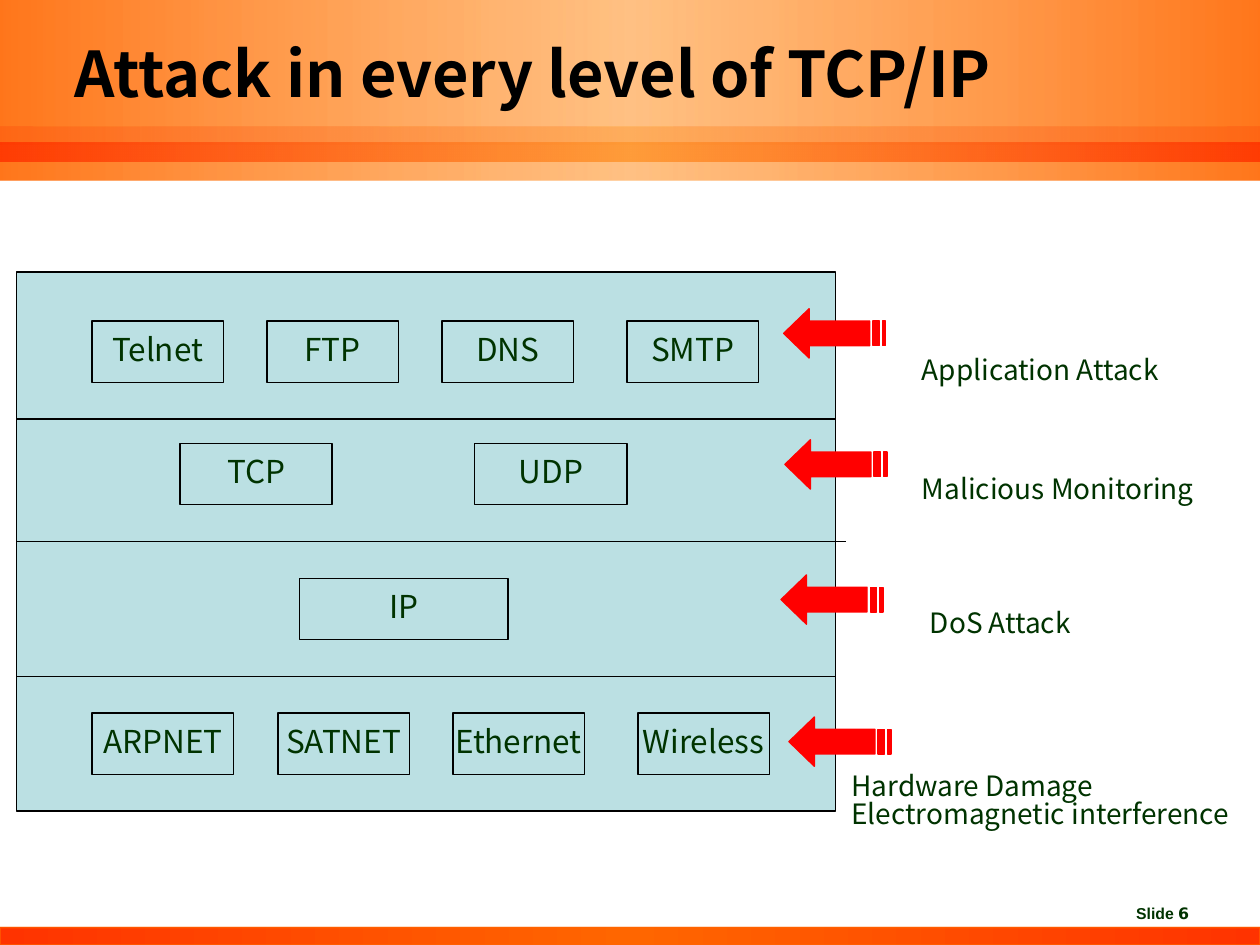
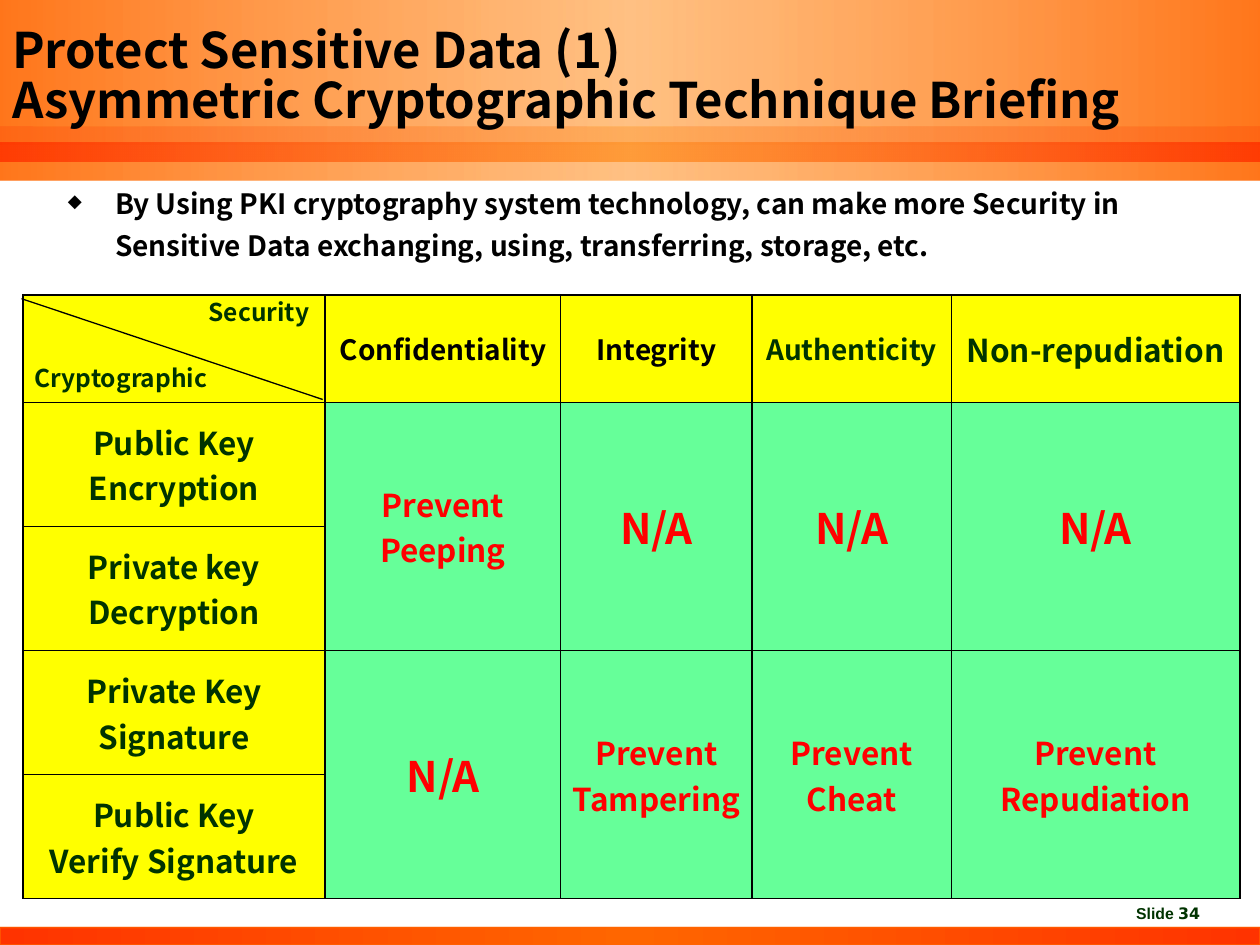
import dataclasses

import lxml.etree
import pptx
import pptx.dml.color
import pptx.enum.shapes
import pptx.enum.text
import pptx.oxml
import pptx.oxml.ns
import pptx.util

Pt = pptx.util.Pt
RGB = pptx.dml.color.RGBColor.from_string
qn = pptx.oxml.ns.qn
ALIGN = pptx.enum.text.PP_ALIGN
ANCHOR = pptx.enum.text.MSO_ANCHOR
RECTANGLE = pptx.enum.shapes.MSO_SHAPE.RECTANGLE
STRAIGHT = pptx.enum.shapes.MSO_CONNECTOR.STRAIGHT
DRAWING = 'xmlns:a="http://schemas.openxmlformats.org/drawingml/2006/main"'


@dataclasses.dataclass(frozen=True)
class Theme:
    font: str = "Noto Sans CJK SC"
    footer_font: str = "Arial"
    number_font: str = "DejaVu Sans"
    black: str = "000000"
    ink: str = "003300"
    red: str = "FF0000"
    layer: str = "BBE0E3"
    header: str = "FFFF00"
    cell: str = "66FF99"
    deep_orange: str = "FF3300"
    orange: str = "FF6600"
    light_orange: str = "FF9933"
    title: int = 36
    long_title: int = 28
    verdict: int = 24
    large: int = 18
    normal: int = 16
    corner: int = 14
    footer: int = 9
    hairline: float = 0.75
    tight: float = 0.84  # line spacing outside the table


THEME = Theme()
WIDTH, HEIGHT = 720, 540


# Text and shape helpers

def add_run(paragraph, text, size, color=THEME.ink, bold=False, font=THEME.font):
    run = paragraph.add_run()
    run.text = text
    run.font.size = Pt(size)
    run.font.bold = bold
    run.font.name = font
    run.font.color.rgb = RGB(color)
    properties = run.font._element
    east_asian = lxml.etree.SubElement(properties, qn("a:ea"))
    east_asian.set("typeface", font)


def write_lines(frame, lines, size, color=THEME.ink, bold=False, align=ALIGN.LEFT,
                spacing=THEME.tight):
    """Write one paragraph for each line."""
    for index, line in enumerate(lines):
        paragraph = frame.add_paragraph() if index else frame.paragraphs[0]
        paragraph.alignment = align
        paragraph.line_spacing = spacing
        add_run(paragraph, line, size, color, bold)


def add_text_box(slide, box, anchor=ANCHOR.TOP):
    frame = slide.shapes.add_textbox(*map(Pt, box)).text_frame
    frame.word_wrap = True
    frame.vertical_anchor = anchor
    return frame


def paint(shape, fill, line):
    shape.shadow.inherit = False
    shape.fill.solid()
    shape.fill.fore_color.rgb = RGB(fill)
    shape.line.color.rgb = RGB(line)
    shape.line.width = Pt(THEME.hairline)


def add_rectangle(slide, box):
    shape = slide.shapes.add_shape(RECTANGLE, *map(Pt, box))
    paint(shape, THEME.layer, THEME.black)
    return shape


def add_line(slide, *ends):
    line = slide.shapes.add_connector(STRAIGHT, *map(Pt, ends))
    line.line.color.rgb = RGB(THEME.black)
    line.line.width = Pt(THEME.hairline)
    lxml.etree.SubElement(line._element.spPr, qn("a:effectLst"))


# Frame shared by the slides

def add_band(slide, top, height, edge, middle, edge_alpha=100, middle_alpha=100):
    """Full-width band that fades from edge to middle and back."""
    band = slide.shapes.add_shape(RECTANGLE, 0, Pt(top), Pt(WIDTH), Pt(height))
    band.shadow.inherit = False
    band.line.fill.background()
    stops = "".join(
        f'<a:gs pos="{position}000"><a:srgbClr val="{color}">'
        f'<a:alpha val="{alpha}000"/></a:srgbClr></a:gs>'
        for position, color, alpha in ((0, edge, edge_alpha), (50, middle, middle_alpha),
                                       (100, edge, edge_alpha)))
    gradient = pptx.oxml.parse_xml(
        f'<a:gradFill {DRAWING} rotWithShape="1"><a:gsLst>{stops}</a:gsLst>'
        '<a:lin ang="0" scaled="1"/></a:gradFill>')
    band._element.spPr.find(qn("a:prstGeom")).addnext(gradient)
    return band


def add_frame(slide, number):
    add_band(slide, 0, 103, THEME.orange, THEME.light_orange, 89, 60)

    # Footer
    paragraph = add_text_box(slide, (642.2, 512.6, 77.8, 18)).paragraphs[0]
    add_run(paragraph, "Slide ", THEME.footer, bold=True, font=THEME.footer_font)
    add_run(paragraph, number, THEME.footer, bold=True, font=THEME.number_font)
    bottom = add_band(slide, 530, 10, THEME.deep_orange, THEME.orange)
    bottom.line.color.rgb = RGB(THEME.orange)
    bottom.line.width = Pt(1)
    color = bottom.line._ln.find(".//" + qn("a:srgbClr"))
    lxml.etree.SubElement(color, qn("a:alpha")).set("val", "60000")

    # Stripes under the title
    add_band(slide, 81.2, 11.2, THEME.deep_orange, THEME.light_orange, 85, 90)
    add_band(slide, 72.4, 10, THEME.deep_orange, THEME.light_orange, 22, 47)


def add_title(slide, box, lines, size):
    paragraph = add_text_box(slide, box, ANCHOR.MIDDLE).paragraphs[0]
    paragraph.line_spacing = THEME.tight
    for index, line in enumerate(lines):
        if index:
            paragraph.add_line_break()
        add_run(paragraph, line, size, THEME.black, bold=True)


# Slide with the protocol layers

@dataclasses.dataclass(frozen=True)
class Layer:
    height: float
    protocol_top: float
    protocols: tuple  # name, left, width
    arrow: tuple  # left, top
    label: tuple  # left, top, width
    attacks: tuple
    overhang: float = 0  # how far the lower divider passes the stack


LAYERS = (
    Layer(84, 28, (("Telnet", 43.3, 75), ("FTP", 143.3, 75), ("DNS", 243.3, 75),
                   ("SMTP", 349, 75)),
          (438.5, 20.9), (510.5, 45.4, 169), ("Application Attack",)),
    Layer(70, 14, (("TCP", 93.5, 87), ("UDP", 262, 87)),
          (439.2, 11.8), (510.5, 29.8, 200), ("Malicious Monitoring",), 6),
    Layer(77, 21, (("IP", 162, 119),),
          (437, 19), (515, 36, 195), ("DoS Attack",)),
    Layer(77, 21, (("ARPNET", 43.3, 81), ("SATNET", 149.6, 75), ("Ethernet", 249.6, 75),
                   ("Wireless", 355.3, 75)),
          (441.5, 23.2), (470.2, 52, 240),
          ("Hardware Damage", "Electromagnetic interference")),
)


def add_attack_arrow(slide, left, top, width=58.3, height=28.2):
    """Arrow to the left with two stripes behind its shaft."""
    upper, lower = 0.25, 0.75

    def bar(start, end):
        return [(start, upper), (end, upper), (end, lower), (start, lower)]

    head = [(0.25, 1), (0.25, lower), (27 / 32, lower), (27 / 32, upper),
            (0.25, upper), (0.25, 0), (0, 0.5)]
    builder = None
    for outline in (head, bar(7 / 8, 15 / 16), bar(31 / 32, 1)):
        points = [(Pt(left + x * width), Pt(top + y * height)) for x, y in outline]
        if builder is None:
            builder = slide.shapes.build_freeform(*points[0], scale=1.0)
        else:
            builder.move_to(*points[0])
        builder.add_line_segments(points[1:], close=True)
    paint(builder.convert_to_shape(), THEME.red, THEME.red)


def add_layer(slide, layer, left, top):
    for name, offset, width in layer.protocols:
        shape = add_rectangle(slide, (left + offset, top + layer.protocol_top, width, 35))
        frame = shape.text_frame
        frame.word_wrap = False
        frame.vertical_anchor = ANCHOR.MIDDLE
        write_lines(frame, [name], THEME.large, align=ALIGN.CENTER)
    add_attack_arrow(slide, left + layer.arrow[0], top + layer.arrow[1])
    label_left, label_top, label_width = layer.label
    box = (left + label_left, top + label_top, label_width, 7.2 + 19.4 * len(layer.attacks))
    write_lines(add_text_box(slide, box), layer.attacks, THEME.normal)


def add_protocol_stack(slide, left, top, width):
    add_rectangle(slide, (left, top, width, sum(layer.height for layer in LAYERS)))
    for layer in LAYERS:
        add_layer(slide, layer, left, top)
        top += layer.height
        if layer is not LAYERS[-1]:
            add_line(slide, left, top, left + width + layer.overhang, top)


# Slide with the cryptography table

COLUMN_WIDTHS = (172.8, 134.6, 109.4, 113.8, 164.9)
ROW_HEIGHTS = (61.4, 70.9, 70.9, 70.9, 70.9)
HEADERS = (("Confidentiality", THEME.black, THEME.normal),
           ("Integrity", THEME.black, THEME.normal),
           ("Authenticity", THEME.ink, THEME.normal),
           ("Non-repudiation", THEME.ink, THEME.large))
TECHNIQUES = (("Public Key", "Encryption"), ("Private key", "Decryption"),
              ("Private Key", "Signature"), ("Public Key", "Verify Signature"))
NOT_AVAILABLE = ("N/A",)
EFFECTS = (
    (("Prevent", "Peeping"),) + (NOT_AVAILABLE,) * 3,
    (NOT_AVAILABLE, ("Prevent", "Tampering"), ("Prevent", "Cheat"),
     ("Prevent", "Repudiation")),
)


def style_cell(cell, fill):
    cell.fill.solid()
    cell.fill.fore_color.rgb = RGB(fill)
    cell.vertical_anchor = ANCHOR.MIDDLE
    cell.margin_left = cell.margin_right = Pt(5)
    cell.margin_top = cell.margin_bottom = 0
    for index, side in enumerate(("lnL", "lnR", "lnT", "lnB")):
        border = pptx.oxml.parse_xml(
            f'<a:{side} {DRAWING} w="12700"><a:solidFill>'
            f'<a:srgbClr val="{THEME.black}"/></a:solidFill></a:{side}>')
        cell._tc.get_or_add_tcPr().insert(index, border)


def fill_cell(cell, lines, size, color):
    write_lines(cell.text_frame, lines, size, color, True, ALIGN.CENTER, 1.0)


def add_security_table(slide, left, top):
    box = (left, top, sum(COLUMN_WIDTHS), sum(ROW_HEIGHTS))
    table = slide.shapes.add_table(len(ROW_HEIGHTS), len(COLUMN_WIDTHS),
                                   *map(Pt, box)).table
    for column, width in zip(table.columns, COLUMN_WIDTHS):
        column.width = Pt(width)
    for row, height in zip(table.rows, ROW_HEIGHTS):
        row.height = Pt(height)
    for row in range(len(ROW_HEIGHTS)):
        for column in range(len(COLUMN_WIDTHS)):
            heading = row == 0 or column == 0
            style_cell(table.cell(row, column), THEME.header if heading else THEME.cell)

    for column, (text, color, size) in enumerate(HEADERS, 1):
        fill_cell(table.cell(0, column), [text], size, color)
    for row, lines in enumerate(TECHNIQUES, 1):
        fill_cell(table.cell(row, 0), lines, THEME.large, THEME.ink)
    # Each effect covers a pair of techniques
    for pair, effects in enumerate(EFFECTS):
        row = 1 + 2 * pair
        for column, lines in enumerate(effects, 1):
            cell = table.cell(row, column)
            cell.merge(table.cell(row + 1, column))
            size = THEME.verdict if lines == NOT_AVAILABLE else THEME.large
            fill_cell(cell, lines, size, THEME.red)

    # Divided corner cell
    for text, x, y, width in (("Security", 90, 0.7, 90), ("Cryptographic", -4.3, 38.2, 121)):
        frame = add_text_box(slide, (left + x, top + y, width, 24.5))
        write_lines(frame, [text], THEME.corner, bold=True, align=ALIGN.CENTER)
    add_line(slide, left - 0.7, top + 2.2, left + 171.4, top + 59.8)


def add_summary(slide, box, text):
    frame = add_text_box(slide, box)
    write_lines(frame, [text], THEME.normal, THEME.black, True, spacing=1.5 * THEME.tight)
    paragraph = frame.paragraphs[0]
    paragraph.space_before = Pt(3.2)
    properties = paragraph._p.get_or_add_pPr()
    properties.set("marL", str(Pt(27)))
    properties.set("indent", str(Pt(-27)))
    lxml.etree.SubElement(properties, qn("a:buSzPct")).set("val", "65000")
    lxml.etree.SubElement(properties, qn("a:buChar")).set("char", "◆")


def main():
    presentation = pptx.Presentation()
    presentation.slide_width, presentation.slide_height = Pt(WIDTH), Pt(HEIGHT)
    blank = presentation.slide_layouts[6]

    slide = presentation.slides.add_slide(blank)
    add_frame(slide, "6")
    add_title(slide, (35.3, 0, 648, 90), ["Attack in every level of TCP/IP"], THEME.title)
    add_protocol_stack(slide, 9.3, 155.5, 468)

    slide = presentation.slides.add_slide(blank)
    add_frame(slide, "34")
    add_title(slide, (0, 0, WIDTH, 90),
              ["Protect Sensitive Data (1)", "Asymmetric Cryptographic Technique Briefing"],
              THEME.long_title)
    add_summary(slide, (31.7, 97.9, 648, 64.8),
                "By Using PKI cryptography system technology, can make more Security in "
                "Sensitive Data exchanging, using, transferring, storage, etc.")
    add_security_table(slide, 13, 168.5)

    presentation.save("out.pptx")


if __name__ == "__main__":
    main()
